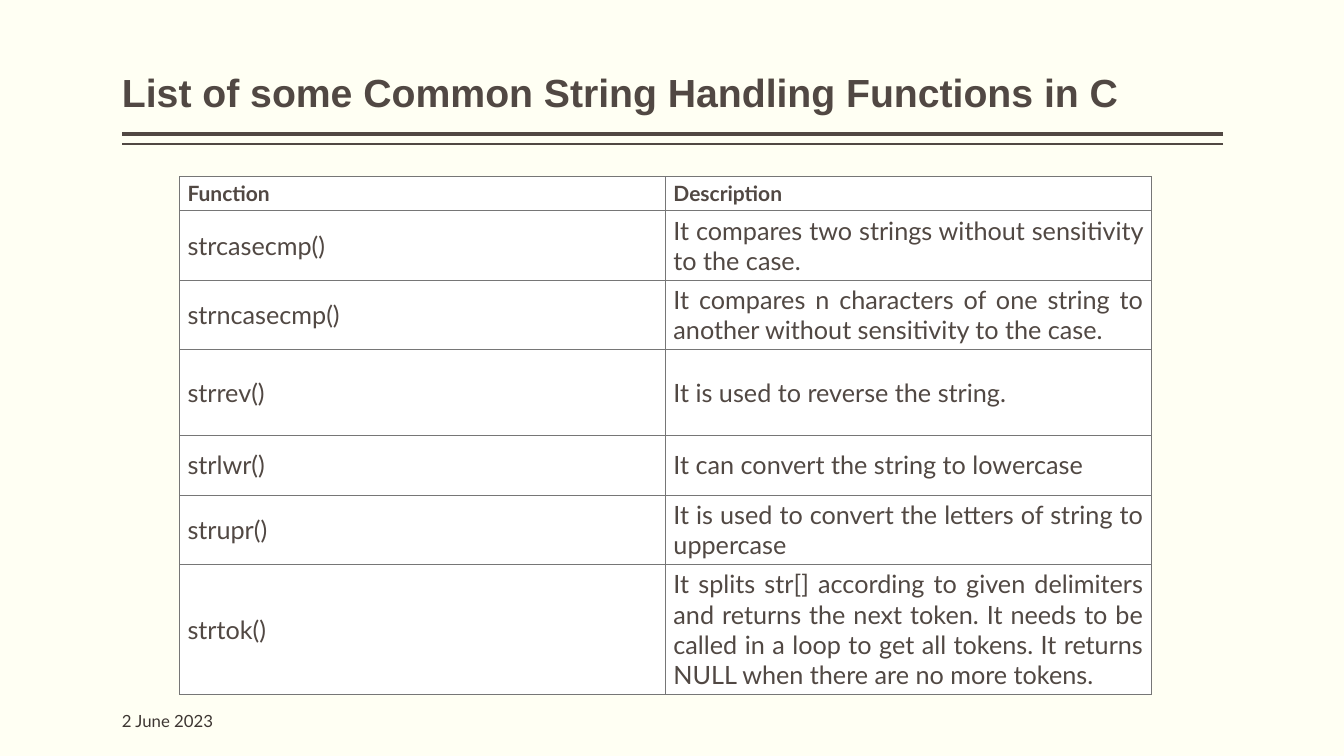
"""Build a slide with a table of common C string handling functions."""
from lxml.etree import SubElement
from pptx import Presentation
from pptx.dml.color import RGBColor
from pptx.enum.shapes import MSO_CONNECTOR
from pptx.enum.text import MSO_ANCHOR, MSO_AUTO_SIZE, PP_ALIGN
from pptx.oxml.ns import qn
from pptx.util import Inches, Pt

COLORS = {
    "background": "FFFFF3",
    "text": "514843",
    "date": "3D3632",
    "cell": "FFFFFF",
    "border": "767676",
}
LEFT, RIGHT = 1.21, 12.13
ROW_HEIGHTS = [0.34, 0.69, 0.69, 0.85, 0.59, 0.69, 1.29]
COLUMN_WIDTH = 4.82
FUNCTIONS = [
    ("Function", "Description"),
    ("strcasecmp()", "It compares two strings without sensitivity to the case."),
    ("strncasecmp()", "It compares n characters of one string to another without sensitivity to the case."),
    ("strrev()", "It is used to reverse the string."),
    ("strlwr()", "It can convert the string to lowercase"),
    ("strupr()", "It is used to convert the letters of string to uppercase"),
    ("strtok()", "It splits str[] according to given delimiters and returns the next token. "
                 "It needs to be called in a loop to get all tokens. "
                 "It returns NULL when there are no more tokens."),
]


def add_text(paragraph, text, size, font_name, color, bold=False):
    run = paragraph.add_run()
    run.text = text
    run.font.size = Pt(size)
    run.font.name = font_name
    run.font.bold = bold
    run.font.color.rgb = RGBColor.from_string(COLORS[color])


def set_frame(frame, anchor):
    frame.word_wrap = True
    frame.auto_size = MSO_AUTO_SIZE.NONE
    frame.vertical_anchor = anchor
    frame.margin_left = frame.margin_right = 0
    frame.margin_top = frame.margin_bottom = Inches(0.05)


presentation = Presentation()
presentation.slide_width = Inches(13.33)
presentation.slide_height = Inches(7.5)
slide = presentation.slides.add_slide(presentation.slide_layouts[5])
slide.background.fill.solid()
slide.background.fill.fore_color.rgb = RGBColor.from_string(COLORS["background"])

for rule_top, rule_width in [(1.33, 3), (1.43, 1)]:
    rule = slide.shapes.add_connector(
        MSO_CONNECTOR.STRAIGHT, Inches(RIGHT), Inches(rule_top), Inches(LEFT), Inches(rule_top))
    rule.line.color.rgb = RGBColor.from_string(COLORS["text"])
    rule.line.width = Pt(rule_width)
    SubElement(rule.element.spPr, qn("a:effectLst"))

title = slide.shapes.title
title.left, title.top = Inches(LEFT), Inches(0)
title.width, title.height = Inches(RIGHT - LEFT), Inches(1.2)
set_frame(title.text_frame, MSO_ANCHOR.BOTTOM)
heading = title.text_frame.paragraphs[0]
heading.alignment = PP_ALIGN.LEFT
heading.line_spacing = 0.9
add_text(heading, "List of some Common String Handling Functions in C", 28, "Arial", "text", True)

date_box = slide.shapes.add_textbox(Inches(LEFT), Inches(6.95), Inches(2), Inches(0.4))
set_frame(date_box.text_frame, MSO_ANCHOR.MIDDLE)
add_text(date_box.text_frame.paragraphs[0], "2 June 2023", 12, "Lato", "date")

table = slide.shapes.add_table(
    len(FUNCTIONS), 2, Inches(1.78), Inches(1.75),
    Inches(2 * COLUMN_WIDTH), Inches(sum(ROW_HEIGHTS))).table
table.first_row = table.horz_banding = False
for column in table.columns:
    column.width = Inches(COLUMN_WIDTH)

for row_index, (row, texts) in enumerate(zip(table.rows, FUNCTIONS)):
    row.height = Inches(ROW_HEIGHTS[row_index])
    is_header = row_index == 0
    for cell, text in zip(row.cells, texts):
        cell.vertical_anchor = MSO_ANCHOR.MIDDLE
        cell.margin_left = cell.margin_right = Inches(0.08)
        cell.margin_top = cell.margin_bottom = Inches(0.04)
        properties = cell._tc.get_or_add_tcPr()
        for side in ("a:lnL", "a:lnR", "a:lnT", "a:lnB"):
            border = SubElement(properties, qn(side), w=str(Pt(0.5)))
            border_fill = SubElement(border, qn("a:solidFill"))
            SubElement(border_fill, qn("a:srgbClr"), val=COLORS["border"])
        cell.fill.solid()
        cell.fill.fore_color.rgb = RGBColor.from_string(COLORS["cell"])
        paragraph = cell.text_frame.paragraphs[0]
        paragraph.alignment = PP_ALIGN.LEFT if is_header else PP_ALIGN.JUSTIFY
        add_text(paragraph, text, 15 if is_header else 18, "Lato", "text", is_header)

presentation.save("out.pptx")
